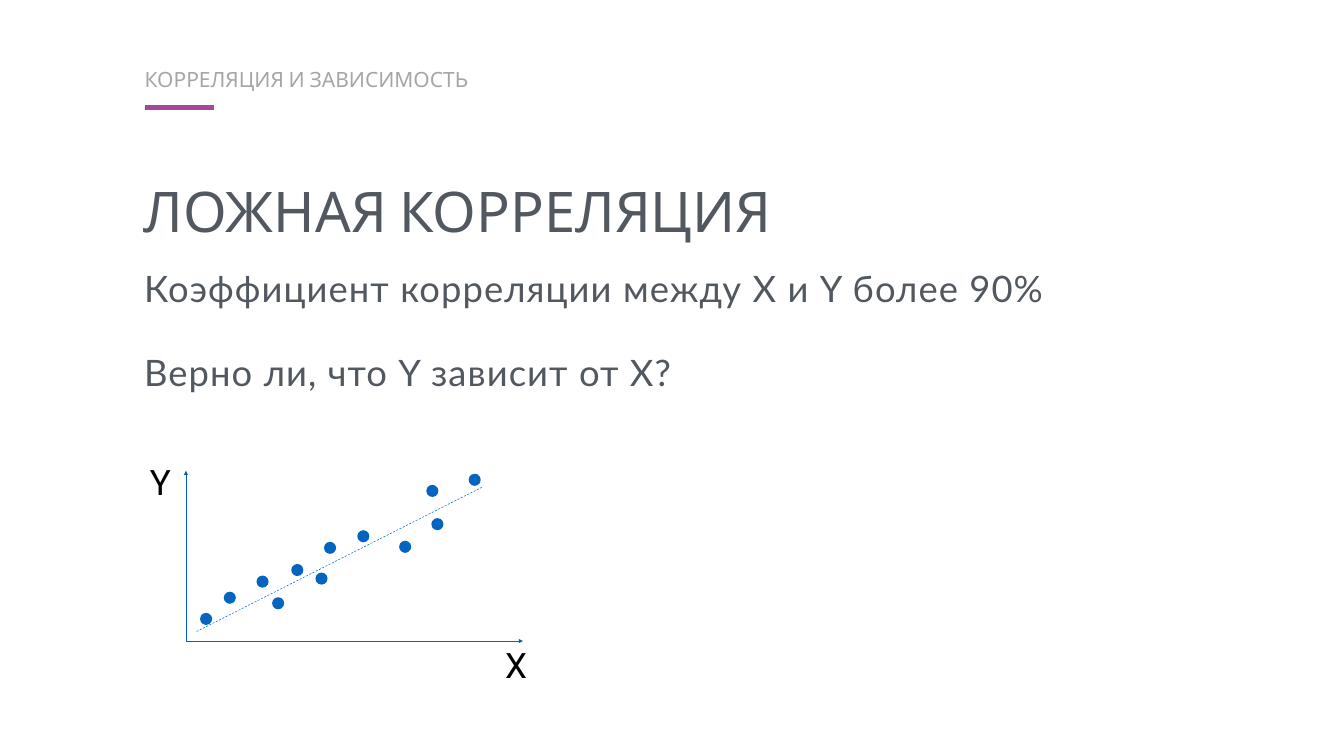
import pptx
import pptx.dml.color
import pptx.enum.dml
import pptx.enum.shapes
import pptx.enum.text
import pptx.util
from lxml import etree
from pptx.util import Inches

RGBColor = pptx.dml.color.RGBColor
SLATE = RGBColor(0x52, 0x58, 0x60)
GRAY = RGBColor(0xA6, 0xA6, 0xA6)
PURPLE = RGBColor(0xA6, 0x47, 0x98)
AXIS_BLUE = RGBColor(0x00, 0x63, 0xBF)
DOT_BLUE = RGBColor(0x03, 0x65, 0xC0)
BLACK = RGBColor(0, 0, 0)
ALIGN = pptx.enum.text.PP_ALIGN
ANCHOR = pptx.enum.text.MSO_ANCHOR
DASH = pptx.enum.dml.MSO_LINE.DASH
DOT_SIZE = 0.24


def write_text(shape, box, lines, font, color, inset=0.06, anchor=ANCHOR.MIDDLE,
               align=ALIGN.LEFT, line_spacing=1.3, space_before=0, tracking=0):
    """Place a text shape and fill it with one paragraph per line; font is (name, points)."""
    shape.left, shape.top, shape.width, shape.height = map(Inches, box)
    frame = shape.text_frame
    frame_format = {"word_wrap": True, "vertical_anchor": anchor,
                    "auto_size": pptx.enum.text.MSO_AUTO_SIZE.NONE}
    for side in ("left", "top", "right", "bottom"):
        frame_format["margin_" + side] = Inches(inset)
    for name, value in frame_format.items():
        setattr(frame, name, value)
    for index, line in enumerate(lines):
        paragraph = frame.paragraphs[0] if index == 0 else frame.add_paragraph()
        properties = paragraph._p.get_or_add_pPr()
        properties.set("marL", "0")
        properties.set("indent", "0")
        etree.SubElement(properties, pptx.oxml.ns.qn("a:buNone"))
        paragraph.alignment = align
        paragraph.line_spacing = line_spacing
        paragraph.space_before = pptx.util.Pt(space_before if index else 0)
        run = paragraph.add_run()
        run.text = line
        font_format = {"name": font[0], "size": pptx.util.Pt(font[1]), "bold": False}
        for name, value in font_format.items():
            setattr(run.font, name, value)
        run.font.color.rgb = color
        if tracking:
            run._r.get_or_add_rPr().set("spc", str(tracking))


def draw_line(start, end, color, width, arrow=False, dash=None):
    ends = map(Inches, start + end)
    connector = slide.shapes.add_connector(
        pptx.enum.shapes.MSO_CONNECTOR.STRAIGHT, *ends)
    connector.line.color.rgb = color
    connector.line.width = pptx.util.Pt(width)
    if dash:
        connector.line.dash_style = dash
    if arrow:
        head = etree.SubElement(connector.line._get_or_add_ln(), pptx.oxml.ns.qn("a:tailEnd"))
        head.set("type", "triangle")
    etree.SubElement(connector._element.spPr, pptx.oxml.ns.qn("a:effectLst"))


presentation = pptx.Presentation()
presentation.slide_width = Inches(26.67)
presentation.slide_height = Inches(15)
slide = presentation.slides.add_slide(presentation.slide_layouts[1])

# Heading and text
write_text(slide.shapes.title, (2.79, 3.11, 21.18, 1.71),
           ["ЛОЖНАЯ КОРРЕЛЯЦИЯ"], ("Cabin", 80), SLATE)
write_text(slide.placeholders[1], (2.8, 4.97, 20.2, 2.92),
           ["Коэффициент корреляции между X и Y более 90%", "Верно ли, что Y зависит от X?"],
           ("Lato", 52), SLATE, anchor=ANCHOR.TOP, space_before=38, tracking=160)
section = slide.shapes.add_textbox(0, 0, 0, 0)
write_text(section, (2.81, 1.13, 21.18, 0.71),
           ["КОРРЕЛЯЦИЯ И ЗАВИСИМОСТЬ"], ("Cabin", 30), GRAY)
draw_line((2.87, 2.13), (4.25, 2.13), PURPLE, 7)

# Axes, their labels and the trend line
origin = (3.69, 12.72)
draw_line(origin, (10.38, 12.72), AXIS_BLUE, 0.75, arrow=True)
draw_line(origin, (3.69, 9.34), AXIS_BLUE, 0.75, arrow=True)
draw_line((3.9, 12.53), (9.56, 9.67), AXIS_BLUE, 0.75, dash=DASH)
for label, left, top in (("X", 9.93, 12.77), ("Y", 2.87, 9.14)):
    axis_label = slide.shapes.add_textbox(0, 0, 0, 0)
    write_text(axis_label, (left, top, 0.62, 0.95), [label], ("Roboto", 50), BLACK,
               inset=0, anchor=ANCHOR.TOP, align=ALIGN.CENTER, line_spacing=1.0)

# Scatter points, left and top of each
points = [(3.97, 12.16), (4.44, 11.74), (5.09, 11.42), (5.4, 11.85),
          (5.78, 11.19), (6.26, 11.36), (6.43, 10.75), (7.09, 10.52),
          (7.92, 10.73), (8.46, 9.62), (8.56, 10.28), (9.3, 9.4)]
for left, top in points:
    dot = slide.shapes.add_shape(pptx.enum.shapes.MSO_SHAPE.OVAL, Inches(left), Inches(top),
                                 Inches(DOT_SIZE), Inches(DOT_SIZE))
    dot.shadow.inherit = False
    dot.fill.solid()
    dot.fill.fore_color.rgb = DOT_BLUE
    dot.line.fill.background()

presentation.save("out.pptx")
